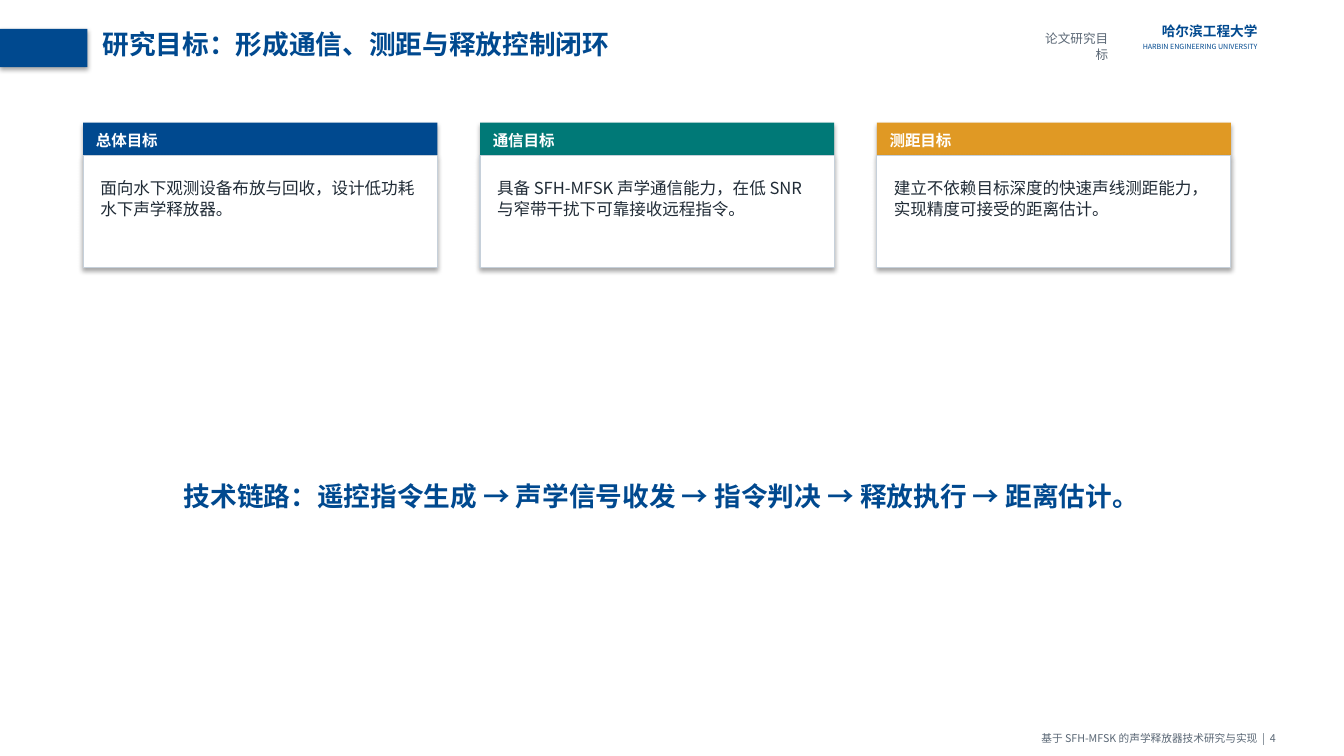
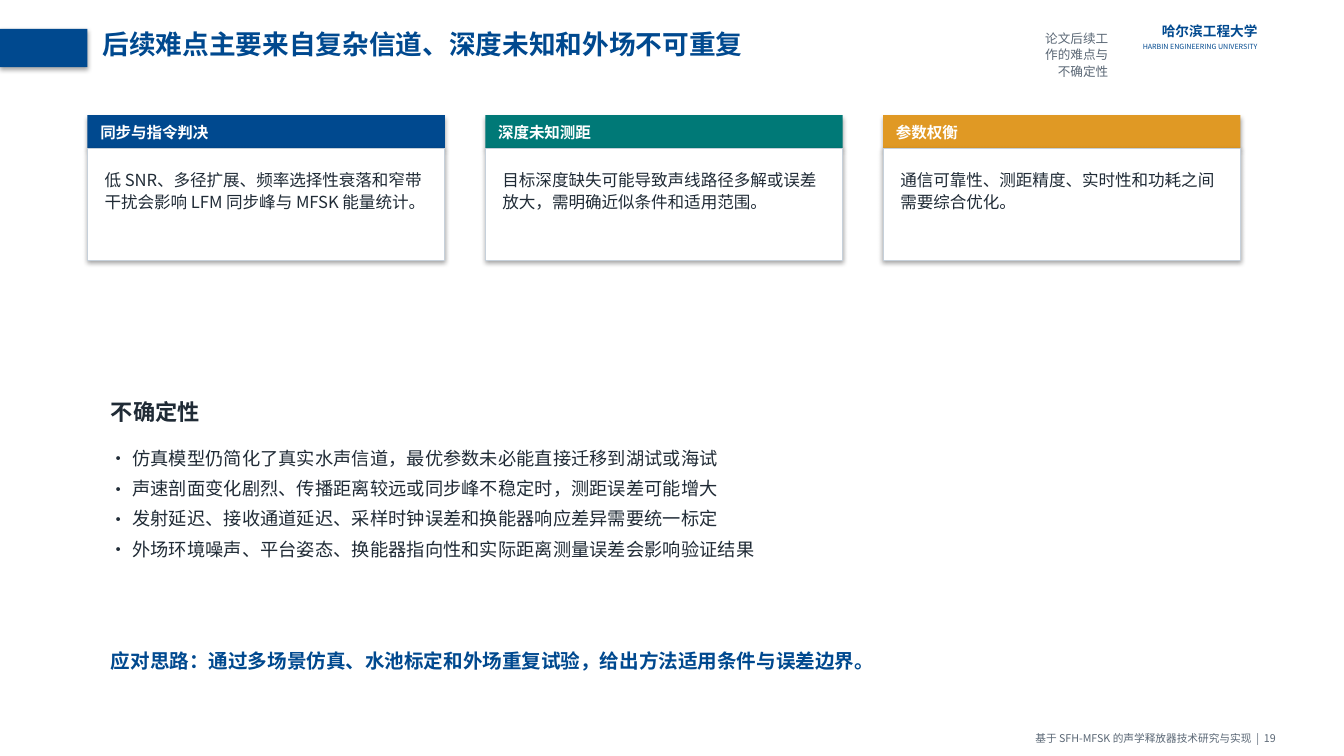
from dataclasses import dataclass

from lxml import etree
from pptx import Presentation
from pptx.dml.color import RGBColor
from pptx.enum.shapes import MSO_SHAPE
from pptx.enum.text import MSO_AUTO_SIZE, PP_ALIGN
from pptx.oxml.ns import qn
from pptx.slide import Slide
from pptx.util import Emu, Pt

RECTANGLE = MSO_SHAPE.RECTANGLE
LEFT, CENTER, RIGHT = PP_ALIGN.LEFT, PP_ALIGN.CENTER, PP_ALIGN.RIGHT
GROW = MSO_AUTO_SIZE.SHAPE_TO_FIT_TEXT

EMU_PER_PX = 9144
FONT = "Noto Sans CJK SC"

NAVY = RGBColor(0x00, 0x49, 0x8F)
TEAL = RGBColor(0x00, 0x79, 0x77)
AMBER = RGBColor(0xE0, 0x99, 0x24)
WHITE = RGBColor(0xFF, 0xFF, 0xFF)
INK = RGBColor(0x20, 0x2B, 0x36)
SLATE = RGBColor(0x5A, 0x67, 0x75)
BORDER = RGBColor(0xC6, 0xD0, 0xDA)
CARD_COLORS = (NAVY, TEAL, AMBER)

HEADER_HEIGHT = 31
BODY_HEIGHT = 105
BULLET_INDENT = 21


@dataclass(frozen=True)
class Box:
    left: int
    top: int
    width: int
    height: int

    def emu(self) -> tuple[Emu, Emu, Emu, Emu]:
        return px(self.left), px(self.top), px(self.width), px(self.height)


@dataclass(frozen=True)
class Style:
    size: float
    color: RGBColor
    bold: bool = False
    align: PP_ALIGN = LEFT
    inset: int = 4
    line_spacing: float = 1.08
    space_after: float = 0
    bulleted: bool = False


@dataclass(frozen=True)
class Card:
    heading: str
    body: str


@dataclass(frozen=True)
class CardRow:
    left: int
    top: int
    width: int
    gap: int
    cards: tuple[Card, ...]


TITLE = Style(18, NAVY, bold=True)
SCHOOL = Style(9.2, NAVY, bold=True, align=RIGHT)
SCHOOL_ENGLISH = Style(4.8, NAVY, align=RIGHT)
SECTION = Style(8.5, SLATE, align=RIGHT)
FOOTER = Style(7.2, SLATE, align=RIGHT)
CARD_HEADING = Style(10.5, WHITE, bold=True)
CARD_BODY = Style(11.2, INK)
CHAIN = Style(18, NAVY, bold=True, align=CENTER)
SUBHEADING = Style(15, INK, bold=True)
BULLETS = Style(12.3, INK, inset=3, line_spacing=1.05, space_after=5, bulleted=True)
CONCLUSION = Style(13.2, NAVY, bold=True)

GOALS = CardRow(78, 115, 332, 40, (
    Card("总体目标", "面向水下观测设备布放与回收，设计低功耗水下声学释放器。"),
    Card("通信目标", "具备 SFH-MFSK 声学通信能力，在低 SNR 与窄带干扰下可靠接收远程指令。"),
    Card("测距目标", "建立不依赖目标深度的快速声线测距能力，实现精度可接受的距离估计。"),
))
DIFFICULTIES = CardRow(82, 108, 335, 38, (
    Card("同步与指令判决",
         "低 SNR、多径扩展、频率选择性衰落和窄带干扰会影响 LFM 同步峰与 MFSK 能量统计。"),
    Card("深度未知测距", "目标深度缺失可能导致声线路径多解或误差放大，需明确近似条件和适用范围。"),
    Card("参数权衡", "通信可靠性、测距精度、实时性和功耗之间需要综合优化。"),
))
UNCERTAINTIES = (
    "仿真模型仍简化了真实水声信道，最优参数未必能直接迁移到湖试或海试",
    "声速剖面变化剧烈、传播距离较远或同步峰不稳定时，测距误差可能增大",
    "发射延迟、接收通道延迟、采样时钟误差和换能器响应差异需要统一标定",
    "外场环境噪声、平台姿态、换能器指向性和实际距离测量误差会影响验证结果",
)


def px(length: int) -> Emu:
    return Emu(length * EMU_PER_PX)


def add_bullet(paragraph) -> None:
    properties = paragraph._p.get_or_add_pPr()
    properties.set("marL", str(px(BULLET_INDENT)))
    properties.set("indent", str(-px(BULLET_INDENT)))
    etree.SubElement(properties, qn("a:buFont"), typeface=FONT)
    etree.SubElement(properties, qn("a:buChar"), char="•")


def add_text(slide: Slide, box: Box, style: Style, *lines: str) -> None:
    frame = slide.shapes.add_textbox(*box.emu()).text_frame
    frame.word_wrap = True
    frame.auto_size = GROW
    frame.margin_left = frame.margin_right = px(style.inset)
    frame.margin_top = frame.margin_bottom = px(2)
    for index, line in enumerate(lines):
        paragraph = frame.add_paragraph() if index else frame.paragraphs[0]
        if style.bulleted:
            add_bullet(paragraph)
        paragraph.alignment = style.align
        paragraph.line_spacing = style.line_spacing
        if style.space_after:
            paragraph.space_after = Pt(style.space_after)
        run = paragraph.add_run()
        run.text = line
        run.font.name = FONT
        run.font.size = Pt(style.size)
        run.font.bold = style.bold
        run.font.color.rgb = style.color
        etree.SubElement(run.font._element, qn("a:ea"), typeface=FONT)


def add_panel(slide: Slide, box: Box, fill: RGBColor, border: RGBColor | None = None) -> None:
    panel = slide.shapes.add_shape(RECTANGLE, *box.emu())
    panel.fill.solid()
    panel.fill.fore_color.rgb = fill
    if border is None:
        panel.line.fill.background()
    else:
        panel.line.color.rgb = border
        panel.line.width = Pt(0.75)


def add_cards(slide: Slide, row: CardRow) -> None:
    body_top = row.top + HEADER_HEIGHT
    for index, (card, color) in enumerate(zip(row.cards, CARD_COLORS)):
        left = row.left + index * (row.width + row.gap)
        add_panel(slide, Box(left, row.top, row.width, HEADER_HEIGHT), color)
        add_text(slide, Box(left + 8, row.top + 4, row.width - 16, 20),
                 CARD_HEADING, card.heading)
        add_panel(slide, Box(left, body_top, row.width, BODY_HEIGHT), WHITE, BORDER)
        add_text(slide, Box(left + 12, body_top + 17, row.width - 24, 62),
                 CARD_BODY, card.body)


def add_content_slide(deck, title: str, section: str, number: int, row: CardRow) -> Slide:
    slide = deck.slides.add_slide(deck.slide_layouts[6])
    add_panel(slide, Box(0, 27, 82, 36), NAVY)
    add_text(slide, Box(92, 22, 850, 44), TITLE, title)
    add_text(slide, Box(998, 18, 185, 20), SCHOOL, "哈尔滨工程大学")
    add_text(slide, Box(998, 37, 185, 15), SCHOOL_ENGLISH, "HARBIN ENGINEERING UNIVERSITY")
    add_text(slide, Box(965, 26, 78, 25), SECTION, section)
    add_cards(slide, row)
    add_text(slide, Box(815, 683, 385, 18), FOOTER,
             f"基于 SFH-MFSK 的声学释放器技术研究与实现  |  {number}")
    return slide


def main() -> None:
    deck = Presentation()
    deck.slide_width, deck.slide_height = px(1260), px(709)

    goals = add_content_slide(
        deck, "研究目标：形成通信、测距与释放控制闭环", "论文研究目标", 4, GOALS)
    add_text(goals, Box(100, 446, 1040, 42), CHAIN,
             "技术链路：遥控指令生成 → 声学信号收发 → 指令判决 → 释放执行 → 距离估计。")

    difficulties = add_content_slide(
        deck, "后续难点主要来自复杂信道、深度未知和外场不可重复",
        "论文后续工作的难点与不确定性", 19, DIFFICULTIES)
    add_text(difficulties, Box(100, 370, 150, 32), SUBHEADING, "不确定性")
    add_text(difficulties, Box(100, 416, 1035, 142), BULLETS, *UNCERTAINTIES)
    add_text(difficulties, Box(100, 605, 1035, 32), CONCLUSION,
             "应对思路：通过多场景仿真、水池标定和外场重复试验，给出方法适用条件与误差边界。")

    deck.save("out.pptx")


if __name__ == "__main__":
    main()
